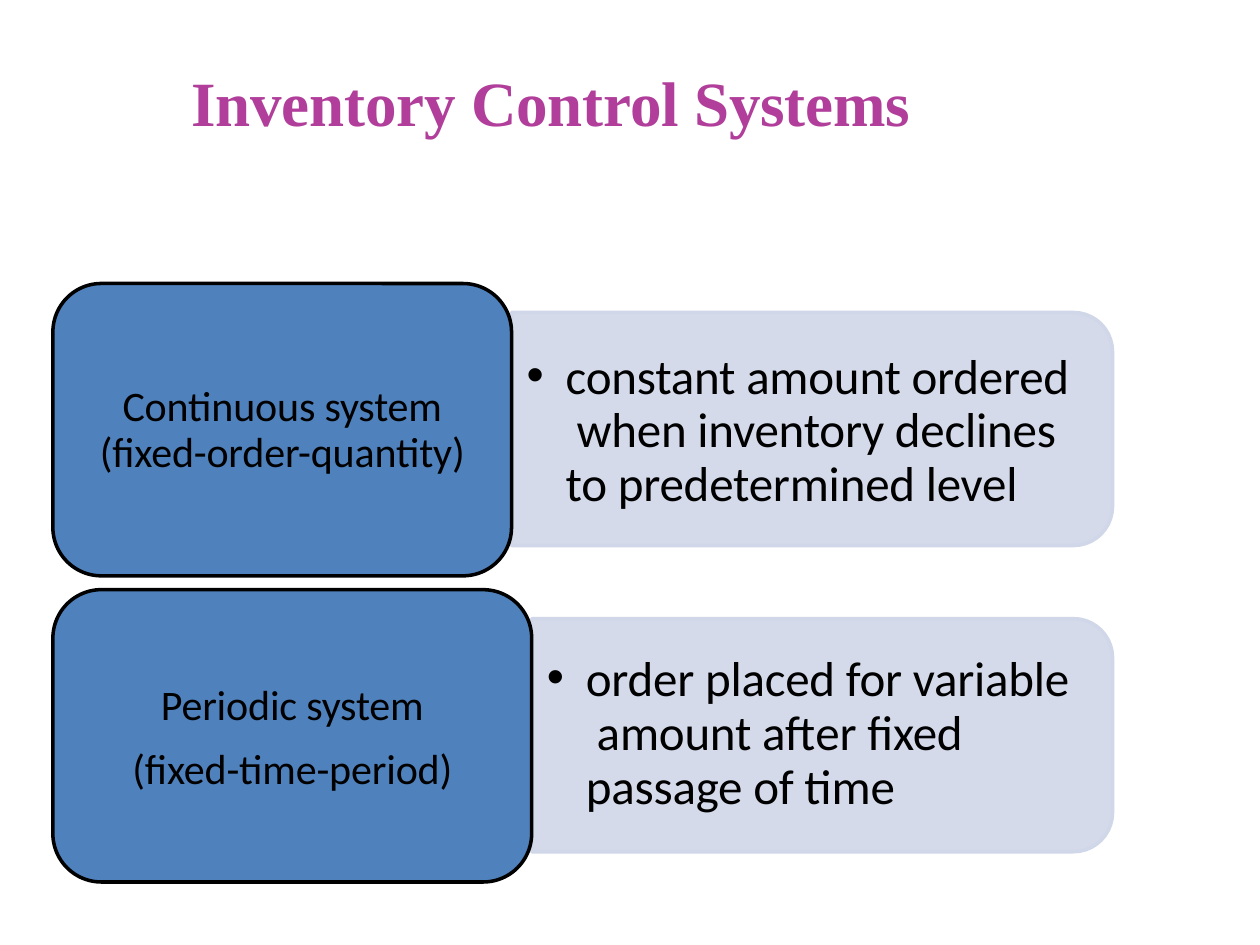
import math
from pptx import Presentation
from pptx.dml.color import RGBColor
from pptx.enum.shapes import MSO_SHAPE
from pptx.enum.text import MSO_ANCHOR, MSO_AUTO_SIZE, PP_ALIGN
from pptx.oxml.ns import qn
from pptx.util import Inches, Pt
from lxml import etree

ROUNDED = MSO_SHAPE.ROUNDED_RECTANGLE
TOP, MIDDLE = MSO_ANCHOR.TOP, MSO_ANCHOR.MIDDLE
LEFT, CENTER = PP_ALIGN.LEFT, PP_ALIGN.CENTER
TWO_CONTENT = 3

COLORS = {"title": "B03E9A", "panel": "D0D7E8", "card": "4F81BC", "ink": "000000"}

CARD_LEFT, CARD_HEIGHT, CARD_RADIUS = 0.42, 2.32, 0.385
PANEL_RIGHT, PANEL_HEIGHT, PANEL_RADIUS = 8.83, 1.85, 0.31
PANEL_DROP = 0.23
ROWS = [
    {"top": 2.25, "card_width": 3.64, "line_spacing": Pt(26.4),
     "name": ["Continuous system\v(fixed-order-quantity)"],
     "detail": "constant amount ordered\v when inventory declines\vto predetermined level",
     "detail_drop": 0.53},
    {"top": 4.68, "card_width": 3.8, "line_spacing": 1.0,
     "name": ["Periodic system", "(fixed-time-period)"],
     "detail": "order placed for variable\v amount after fixed\vpassage of time",
     "detail_drop": 0.5},
]


def rgb(name):
    return RGBColor.from_string(COLORS[name])


def write(sp, paragraphs, size, font="Calibri", color="ink", bold=False, align=LEFT,
          anchor=TOP, line_spacing=1.0, space_before=0, hanging=0, inset_top=0):
    tf = sp.text_frame
    tf.word_wrap = True
    tf.auto_size = MSO_AUTO_SIZE.NONE
    tf.vertical_anchor = anchor
    tf.margin_left = tf.margin_right = tf.margin_bottom = 0
    tf.margin_top = Inches(inset_top)
    for i, text in enumerate(paragraphs):
        p = tf.paragraphs[0] if i == 0 else tf.add_paragraph()
        p.text = text
        p.alignment = align
        p.line_spacing = line_spacing
        p.space_before = Pt(space_before if i else 0)
        pPr = p._p.get_or_add_pPr()
        pPr.set("marL", str(Inches(hanging)))
        pPr.set("indent", str(-Inches(hanging)))
        for r in p.runs:
            r.font.size, r.font.name, r.font.bold = Pt(size), font, bold
            r.font.color.rgb = rgb(color)
            r._r.get_or_add_rPr().set("spc", "-10")


def paint(sp, fill, line, alpha=None):
    sp.shadow.inherit = False
    sp.fill.solid()
    sp.fill.fore_color.rgb = rgb(fill)
    sp.line.color.rgb = rgb(line)
    sp.line.width = Pt(2)
    if alpha:
        clr = sp._element.spPr.find(qn("a:solidFill"))[0]
        etree.SubElement(clr, qn("a:alpha")).set("val", str(alpha * 1000))


def place(sp, left, top, width, height):
    sp.left, sp.top = Inches(left), Inches(top)
    sp.width, sp.height = Inches(width), Inches(height)


def add_panel(s, left, top):
    """Pale panel, square on the left and rounded on the right."""
    bottom, x = top + PANEL_HEIGHT, PANEL_RIGHT - PANEL_RADIUS
    points = [(left, top)]
    for y, start in ((top + PANEL_RADIUS, -90), (bottom - PANEL_RADIUS, 0)):
        for angle in range(start, start + 91, 9):
            a = math.radians(angle)
            points.append((x + PANEL_RADIUS * math.cos(a), y + PANEL_RADIUS * math.sin(a)))
    points.append((left, bottom))
    path = [(Inches(px), Inches(py)) for px, py in points]
    fb = s.shapes.build_freeform(*path[0])
    fb.add_line_segments(path[1:], close=True)
    paint(fb.convert_to_shape(), "panel", "panel", alpha=90)


def add_card(s, row):
    width = row["card_width"]
    sp = s.shapes.add_shape(ROUNDED, Inches(CARD_LEFT), Inches(row["top"]),
                            Inches(width), Inches(CARD_HEIGHT))
    sp.adjustments[0] = CARD_RADIUS / CARD_HEIGHT
    paint(sp, "card", "ink")
    write(sp, row["name"], 24, align=CENTER, anchor=MIDDLE,
          line_spacing=row["line_spacing"], space_before=7.8)


def add_row(s, row, body):
    right = CARD_LEFT + row["card_width"]
    panel_top = row["top"] + PANEL_DROP
    add_panel(s, right, panel_top)
    add_card(s, row)
    left = right + 0.12
    place(body, left, row["top"] + row["detail_drop"], PANEL_RIGHT - left, 1.35)
    write(body, [row["detail"]], 28, line_spacing=Pt(30.7), hanging=0.31)
    s.shapes._spTree.append(body._element)  # bring the list in front of its panel


def main():
    prs = Presentation()
    prs.slide_width, prs.slide_height = Inches(10), Inches(7.5)
    s = prs.slides.add_slide(prs.slide_layouts[TWO_CONTENT])
    title = s.shapes.title
    place(title, 1.52, 0.44, 6.95, 0.62)
    write(title, ["Inventory Control Systems"], 36, font="Times New Roman",
          color="title", bold=True, inset_top=0.06)
    for row, body in zip(ROWS, list(s.placeholders)[1:]):
        add_row(s, row, body)
    prs.save("out.pptx")


if __name__ == "__main__":
    main()
